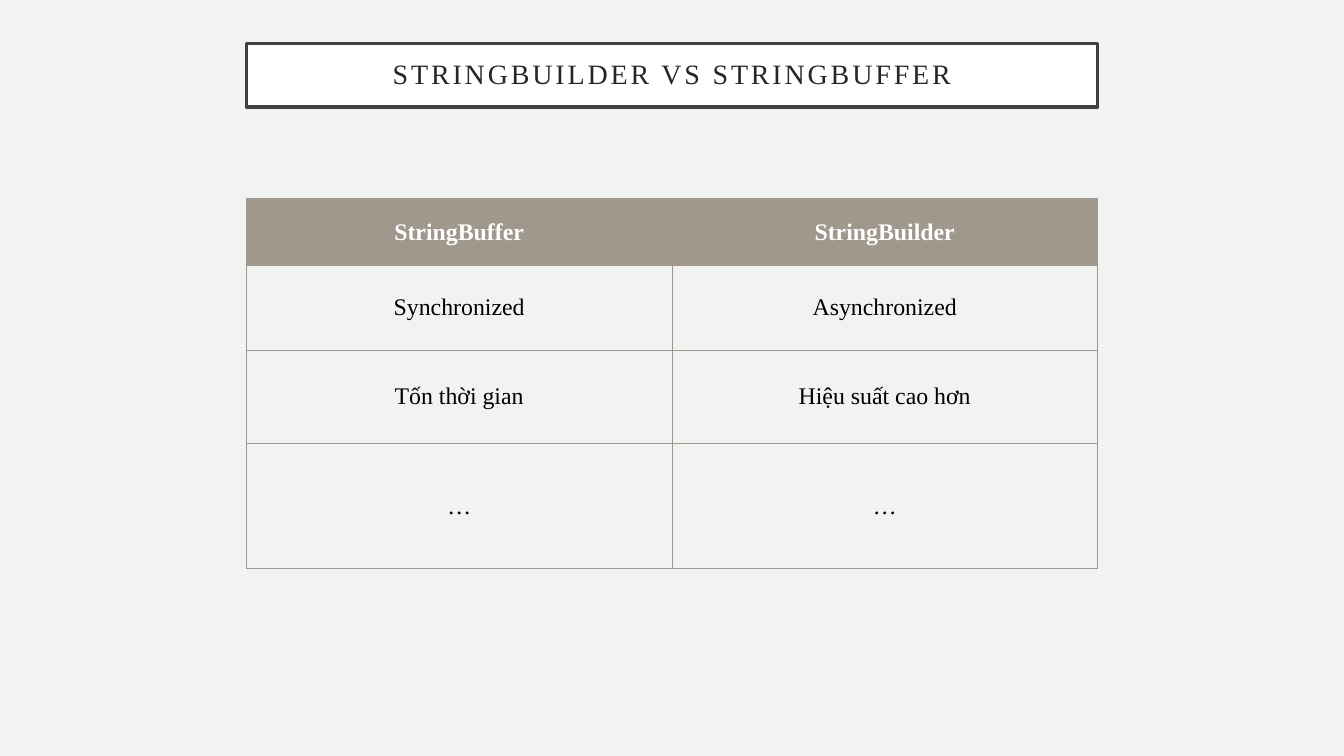
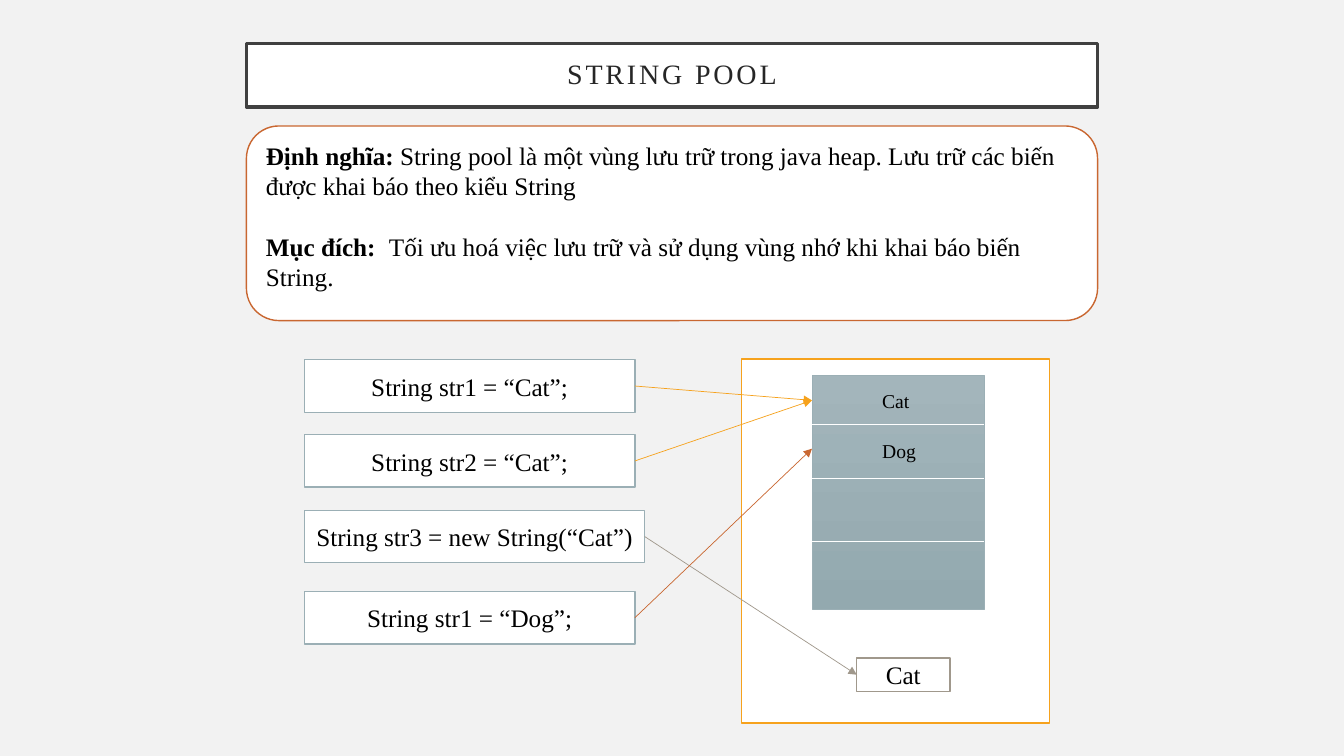
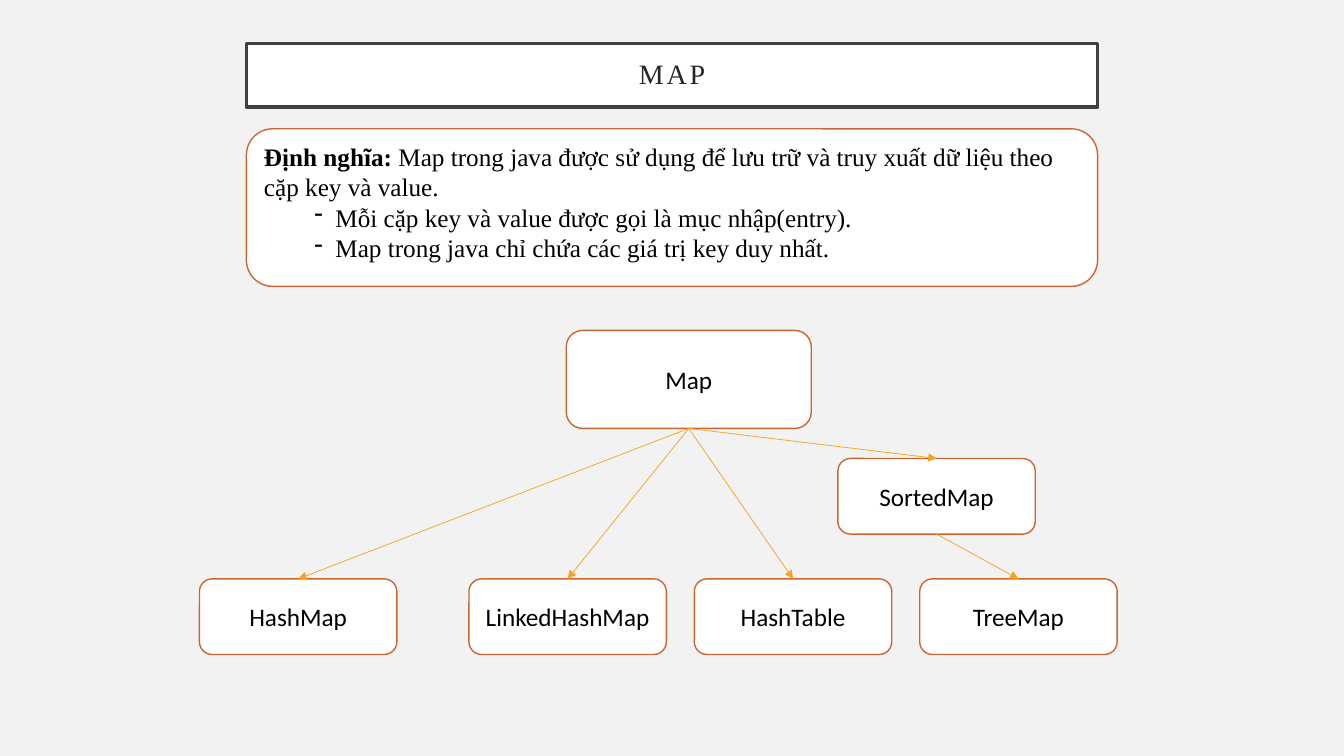
"""Build three slides on Java strings and maps."""
from dataclasses import dataclass
from itertools import accumulate

from lxml.etree import SubElement
from pptx import Presentation
from pptx.dml.color import RGBColor
from pptx.enum.shapes import MSO_CONNECTOR as Wire, MSO_SHAPE as Form
from pptx.enum.text import MSO_ANCHOR as Anchor, MSO_AUTO_SIZE as Fit, PP_ALIGN as Align
from pptx.oxml.ns import qn
from pptx.util import Pt


@dataclass(frozen=True)
class Theme:
    page: str = "F2F2F2"
    white: str = "FFFFFF"
    black: str = "000000"
    ink: str = "262626"
    frame: str = "404040"
    taupe: str = "A0988C"
    rust: str = "C96731"
    gold: str = "F6A21D"
    steel: str = "9BAFB5"
    light: str = "A3B5BB"
    deep: str = "93A9AF"
    serif: str = "Times New Roman"
    sans: str = "Calibri"
    head: int = 20
    body: int = 18
    cell: int = 17
    small: int = 14
    thin: float = 0.5
    edge: float = 1
    thick: float = 2.5


T = Theme()
LEFT, WIDE = 176, 608
TOP, TALL = 31, 45.5

ROWS = [
    (47.5, "StringBuffer", "StringBuilder"),
    (60.5, "Synchronized", "Asynchronized"),
    (67, "Tốn thời gian", "Hiệu suất cao hơn"),
    (89, "…", "…"),
]

POOL = [
    ("Định nghĩa:", " String pool là một vùng lưu trữ trong java heap. "
     "Lưu trữ các biến được khai báo theo kiểu String", {}),
    ("Mục đích:", "\tTối ưu hoá việc lưu trữ và sử dụng vùng nhớ khi "
     "khai báo biến String.", {"gap": 21.5, "tab": 88}),
]
HEAP = (529.5, 256.5, 220, 260)
STACK = (580, 268, 123, 167)
SLOTS = (35, 39, 44.5)
KEYS = [("Cat", 274, 37.5), ("Dog", 310, 45.5)]
COPY = (612, 470, 66.5, 24)
CODE = [
    ("String str1 = “Cat”;", 257, 236, T.gold, 286),
    ("String str2 = “Cat”;", 310.5, 236, T.gold, 286),
    ("String str3 = new String(“Cat”)", 364.5, 243, T.taupe, None),
    ("String str1 = “Dog”;", 422.5, 236, T.rust, 320.5),
]

MAP = [
    ("Định nghĩa: ", "Map trong java được sử dụng để lưu trữ và truy xuất "
     "dữ liệu theo cặp key và value.", {}),
    ("", "Mỗi cặp key và value được gọi là mục nhập(entry).", {"dash": True}),
    ("", "Map trong java chỉ chứa các giá trị key duy nhất.", {"dash": True}),
]
NODES = {
    "Map": (404.5, 236, 175, 70),
    "SortedMap": (598.5, 327.5, 141, 54),
    "HashMap": (142.5, 413.5, 141, 54),
}
NODES |= {name: (335 + 161 * i, 413.5, 141, 54)
          for i, name in enumerate(("LinkedHashMap", "HashTable", "TreeMap"))}
EDGES = [("Map", "HashMap"), ("Map", "LinkedHashMap"), ("Map", "HashTable"),
         ("Map", "SortedMap"), ("SortedMap", "TreeMap")]


def rgb(tint):
    return RGBColor.from_string(tint)


def style(para, size, face=T.serif, tint=T.black, bold=None):
    font = para.font
    font.size, font.name, font.bold = Pt(size), face, bold
    font.color.rgb = rgb(tint)


def paint(shape, edge, width=T.edge):
    shape.fill.solid()
    shape.fill.fore_color.rgb = rgb(T.white)
    shape.line.color.rgb = rgb(edge)
    shape.line.width = Pt(width)


def box(slide, form, area, edge, text="", face=T.serif):
    shape = slide.shapes.add_shape(form, *map(Pt, area))
    shape.shadow.inherit = False
    paint(shape, edge)
    if text:
        frame = shape.text_frame
        frame.word_wrap = True
        frame.vertical_anchor = Anchor.MIDDLE
        para = frame.paragraphs[0]
        para.text, para.alignment = text, Align.CENTER
        style(para, T.body, face)
    return shape


def line(slide, tint, start=(0, 0), end=(0, 0), src=None, dst=None, tip=True):
    wire = slide.shapes.add_connector(Wire.STRAIGHT, *map(Pt, start + end))
    if src:
        wire.begin_connect(*src)
    if dst:
        wire.end_connect(*dst)
    wire.line.color.rgb = rgb(tint)
    wire.line.width = Pt(T.thin)
    props = wire._element.spPr
    if tip:
        SubElement(props.find(qn("a:ln")), qn("a:tailEnd"), type="triangle")
    SubElement(props, qn("a:effectLst"))


def start(deck, text):
    slide = deck.slides.add_slide(deck.slide_layouts[5])
    title = slide.shapes.title
    title.left, title.top, title.width, title.height = map(Pt, (LEFT, TOP, WIDE, TALL))
    paint(title, T.frame, T.thick)
    frame = title.text_frame
    frame.word_wrap, frame.auto_size = True, Fit.NONE
    frame.vertical_anchor = Anchor.MIDDLE
    frame.margin_left = frame.margin_right = Pt(14.4)
    frame.margin_top = frame.margin_bottom = Pt(14.4)
    para = frame.paragraphs[0]
    para.text, para.alignment, para.line_spacing = text, Align.CENTER, 0.9
    style(para, T.head, tint=T.ink)
    para._p.pPr.find(qn("a:defRPr")).set("spc", "200")
    return slide


def define(slide, top, height, items):
    shape = box(slide, Form.ROUNDED_RECTANGLE, (LEFT, top, WIDE, height), T.rust)
    frame = shape.text_frame
    frame.word_wrap = True
    frame.vertical_anchor = Anchor.TOP
    for i, (term, text, opts) in enumerate(items):
        para = frame.add_paragraph() if i else frame.paragraphs[0]
        para.alignment = Align.LEFT
        props = para._p.get_or_add_pPr()
        if "dash" in opts:
            props.set("marL", str(Pt(51)))
            props.set("indent", str(Pt(-15)))
            SubElement(props, qn("a:buChar"), char="-")
        if "tab" in opts:
            tabs = SubElement(props, qn("a:tabLst"))
            SubElement(tabs, qn("a:tab"), pos=str(Pt(opts["tab"])), algn="l")
        if "gap" in opts:
            para.space_before = Pt(opts["gap"])
        style(para, T.body)
        if term:
            run = para.add_run()
            run.text, run.font.bold = term, True
        para.add_run().text = text


def border(cell):
    props = cell._tc.get_or_add_tcPr()
    for side in ("lnL", "lnR", "lnT", "lnB"):
        rule = SubElement(props, qn(f"a:{side}"), w=str(Pt(T.thin)))
        fill = SubElement(rule, qn("a:solidFill"))
        SubElement(fill, qn("a:srgbClr"), val=T.taupe)


def compare(deck):
    slide = start(deck, "STRINGBUILDER VS STRINGBUFFER")
    high = sum(row[0] for row in ROWS)
    table = slide.shapes.add_table(
        len(ROWS), 2, *map(Pt, (LEFT, 142, WIDE, high))).table
    table.horz_banding = False
    for r, (tall, *texts) in enumerate(ROWS):
        table.rows[r].height = Pt(tall)
        for c, text in enumerate(texts):
            cell = table.cell(r, c)
            border(cell)
            if r:
                cell.fill.background()
            else:
                cell.fill.solid()
                cell.fill.fore_color.rgb = rgb(T.taupe)
            cell.vertical_anchor = Anchor.MIDDLE
            para = cell.text_frame.paragraphs[0]
            para.text, para.alignment = text, Align.CENTER
            style(para, T.cell, tint=T.black if r else T.white, bold=not r)


def pool(deck):
    slide = start(deck, "STRING POOL")
    define(slide, 90, 139, POOL)
    box(slide, Form.RECTANGLE, HEAP, T.gold)
    stack = box(slide, Form.RECTANGLE, STACK, T.steel)
    stack.line.width = Pt(T.thin)
    stack.fill.gradient()
    stack.fill.gradient_angle = 270
    for stop, tint in zip(stack.fill.gradient_stops, (T.light, T.deep)):
        stop.color.rgb = rgb(tint)
    x, y, wide, _ = STACK
    for drop in accumulate(SLOTS):
        line(slide, T.white, (x, y + drop), (x + wide, y + drop), tip=False)
    for text, top, width in KEYS:
        frame = slide.shapes.add_textbox(*map(Pt, (623, top, width, 24.5))).text_frame
        frame.word_wrap = True
        para = frame.paragraphs[0]
        para.text = text
        style(para, T.small)
    copy = box(slide, Form.RECTANGLE, COPY, T.taupe, "Cat")
    for text, top, width, tint, aim in CODE:
        code = box(slide, Form.RECTANGLE, (217.5, top, width, 37.5), T.steel, text)
        if aim:
            line(slide, tint, end=(x, aim), src=(code, 3))
        else:
            line(slide, tint, src=(code, 3), dst=(copy, 1))


def tree(deck):
    slide = start(deck, "MAP")
    define(slide, 92, 112.5, MAP)
    nodes = {name: box(slide, Form.ROUNDED_RECTANGLE, area, T.rust, name, T.sans)
             for name, area in NODES.items()}
    for top, low in EDGES:
        line(slide, T.gold, src=(nodes[top], 2), dst=(nodes[low], 0))


def main():
    deck = Presentation()
    deck.slide_width, deck.slide_height = Pt(960), Pt(540)
    back = deck.slide_master.background.fill
    back.solid()
    back.fore_color.rgb = rgb(T.page)
    compare(deck)
    pool(deck)
    tree(deck)
    deck.save("out.pptx")


if __name__ == "__main__":
    main()
